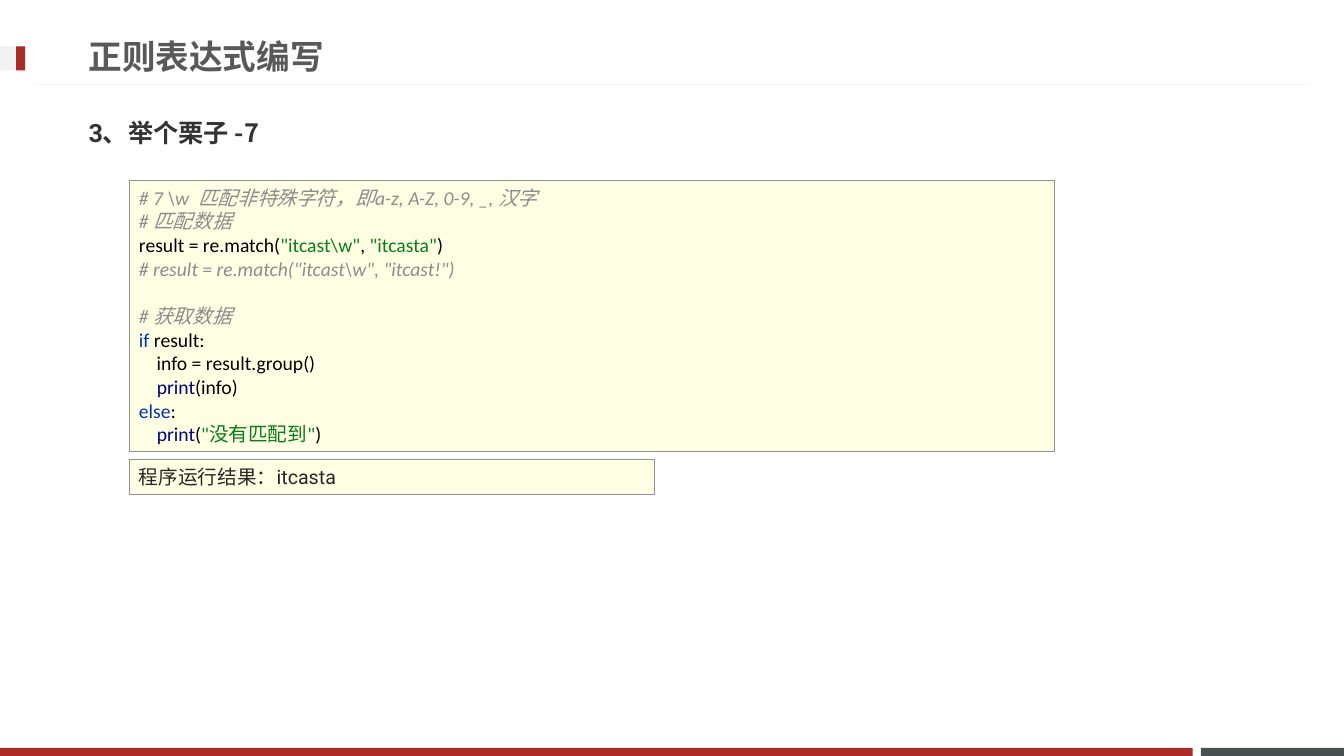
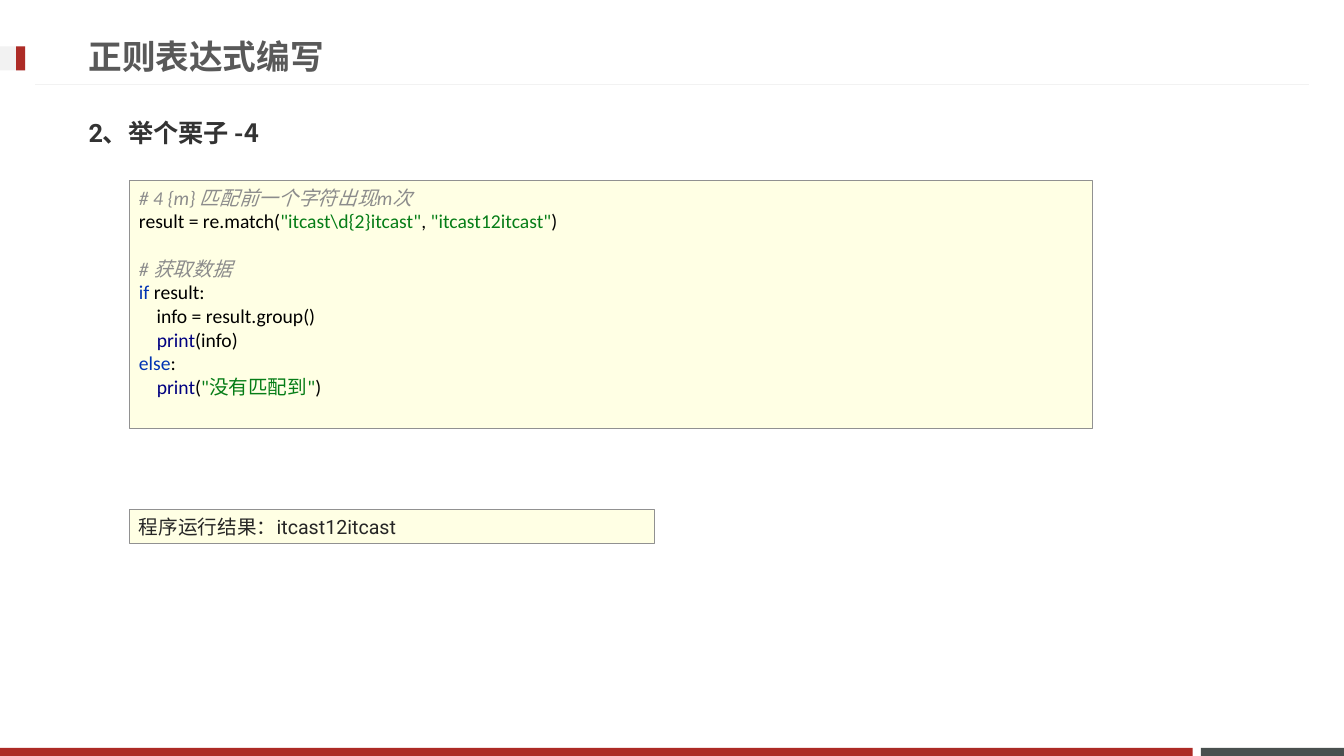
from dataclasses import dataclass

from lxml.etree import SubElement
from pptx import Presentation
from pptx.dml.color import RGBColor
from pptx.enum.shapes import MSO_CONNECTOR, MSO_SHAPE
from pptx.enum.text import MSO_ANCHOR, PP_ALIGN
from pptx.oxml.ns import qn
from pptx.util import Inches, Pt


@dataclass(frozen=True)
class Theme:
    red: str = "AD2B26"
    slate: str = "49504F"
    pale: str = "F2F2F2"
    title: str = "595959"
    heading: str = "333333"
    result: str = "262626"
    box_fill: str = "FFFFE4"
    box_line: str = "919191"
    comment: str = "8C8C8C"
    plain: str = "000000"
    string: str = "067D17"
    keyword: str = "0033B3"
    builtin: str = "000080"
    title_size: float = 24
    heading_size: float = 18
    body_size: float = 14
    code_pitch: float = 16.9
    title_font: str = "Arial"
    text_font: str = "Roboto"
    code_font: str = "Calibri"
    cjk_font: str = "Noto Sans CJK SC"


BOX_LEFT = 1.28
BOX_TOP = 1.79
RESULT_SIZE = (5.21, 0.34)

# A line of code is a list of (text, kind); an empty list is a blank line.
FETCH_CODE = [
    [],
    [("# 获取数据", "comment")],
    [("if ", "keyword"), ("result:", "plain")],
    [("    info = result.group()", "plain")],
    [("    ", "plain"), ("print", "builtin"), ("(info)", "plain")],
    [("else", "keyword"), (":", "plain")],
    [("    ", "plain"), ("print", "builtin"), ("(", "plain"),
     ('"没有匹配到"', "string"), (")", "plain")],
]


def match_line(pattern, text):
    return [("result = re.match(", "plain"), (f'"{pattern}"', "string"),
            (", ", "plain"), (f'"{text}"', "string"), (")", "plain")]


class Deck:
    def __init__(self, theme):
        self.theme = theme
        self.prs = Presentation()
        self.prs.slide_width = Inches(13.33)
        self.prs.slide_height = Inches(7.5)
        self.s = None

    def new_slide(self, title):
        """Add a slide with the shared bands, rule, marker and title."""
        t = self.theme
        self.s = self.prs.slides.add_slide(self.prs.slide_layouts[6])
        self.rect(11.91, 7.42, 1.42, 0.08, t.slate)
        self.rect(0, 7.42, 11.83, 0.08, t.red)
        self.rule(0.35, 12.98, 0.84)
        self.rect(0, 0.46, 0.25, 0.24, t.pale)
        self.rect(0.16, 0.46, 0.09, 0.24, t.red)
        p = self.text_line(0.27, 9.59)
        self.run(p, title, t.title_font, t.title_size, t.title, bold=True)

    def rect(self, left, top, width, height, fill, line=None):
        sp = self.s.shapes.add_shape(MSO_SHAPE.RECTANGLE, Inches(left), Inches(top),
                                     Inches(width), Inches(height))
        sp.shadow.inherit = False
        sp.fill.solid()
        sp.fill.fore_color.rgb = RGBColor.from_string(fill)
        if line:
            sp.line.color.rgb = RGBColor.from_string(line)
            sp.line.width = Pt(0.25)
        else:
            sp.line.fill.background()
        return sp

    def rule(self, left, right, y):
        line = self.s.shapes.add_connector(MSO_CONNECTOR.STRAIGHT, Inches(left), Inches(y),
                                           Inches(right), Inches(y))
        line.line.color.rgb = RGBColor.from_string(self.theme.pale)
        line.line.width = Pt(0.75)
        SubElement(line._element.spPr, qn("a:effectLst"))

    def text_line(self, top, width):
        """Add a one-line text box and return its paragraph."""
        sp = self.s.shapes.add_textbox(Inches(0.78), Inches(top), Inches(width), Inches(0.57))
        tf = sp.text_frame
        tf.word_wrap = True
        tf.vertical_anchor = MSO_ANCHOR.MIDDLE
        return tf.paragraphs[0]

    def run(self, p, text, font, size, color, bold=False, italic=False):
        r = p.add_run()
        r.text = text
        r.font.name = font
        r.font.size = Pt(size)
        r.font.bold = bold
        r.font.italic = italic
        r.font.color.rgb = RGBColor.from_string(color)
        SubElement(r.font._element, qn("a:ea"), typeface=self.theme.cjk_font)

    def heading(self, number, text):
        t = self.theme
        p = self.text_line(1.03, 11.76)
        for part, font in ((number, t.text_font), (text, t.cjk_font)):
            self.run(p, part, font, t.heading_size, t.heading, bold=True)

    def box(self, top, width, height, anchor):
        t = self.theme
        sp = self.rect(BOX_LEFT, top, width, height, t.box_fill, t.box_line)
        sp.text_frame.word_wrap = True
        sp.text_frame.vertical_anchor = anchor
        sp.text_frame.paragraphs[0].alignment = PP_ALIGN.LEFT
        return sp.text_frame

    def code(self, width, height, lines):
        t = self.theme
        tf = self.box(BOX_TOP, width, height, MSO_ANCHOR.TOP)
        p, gap = tf.paragraphs[0], 0
        for i, line in enumerate(lines):
            if not line:
                gap += t.code_pitch
                continue
            if i:
                p = tf.add_paragraph()
                p.alignment = PP_ALIGN.LEFT
            p.line_spacing = Pt(t.code_pitch)
            if gap:
                p.space_before = Pt(gap)
            gap = 0
            for text, kind in line:
                self.run(p, text, t.code_font, t.body_size, getattr(t, kind),
                         italic=kind == "comment")

    def result(self, top, output):
        t = self.theme
        tf = self.box(top, *RESULT_SIZE, MSO_ANCHOR.MIDDLE)
        self.run(tf.paragraphs[0], f"程序运行结果：{output}", t.text_font, t.body_size, t.result)


def main():
    deck = Deck(Theme())

    deck.new_slide("正则表达式编写")
    deck.heading("3、", "举个栗子 -7")
    deck.code(9.18, 2.69, [
        [(r"# 7 \w  匹配非特殊字符，即a-z, A-Z, 0-9, _, 汉字", "comment")],
        [("# 匹配数据", "comment")],
        match_line(r"itcast\w", "itcasta"),
        [(r'# result = re.match("itcast\w", "itcast!")', "comment")],
        *FETCH_CODE,
    ])
    deck.result(4.56, "itcasta")

    deck.new_slide("正则表达式编写")
    deck.heading("2、", "举个栗子 -4")
    deck.code(9.55, 2.46, [
        [("# 4 {m} 匹配前一个字符出现m次", "comment")],
        match_line(r"itcast\d{2}itcast", "itcast12itcast"),
        *FETCH_CODE,
    ])
    deck.result(5.05, "itcast12itcast")

    deck.prs.save("out.pptx")


if __name__ == "__main__":
    main()
